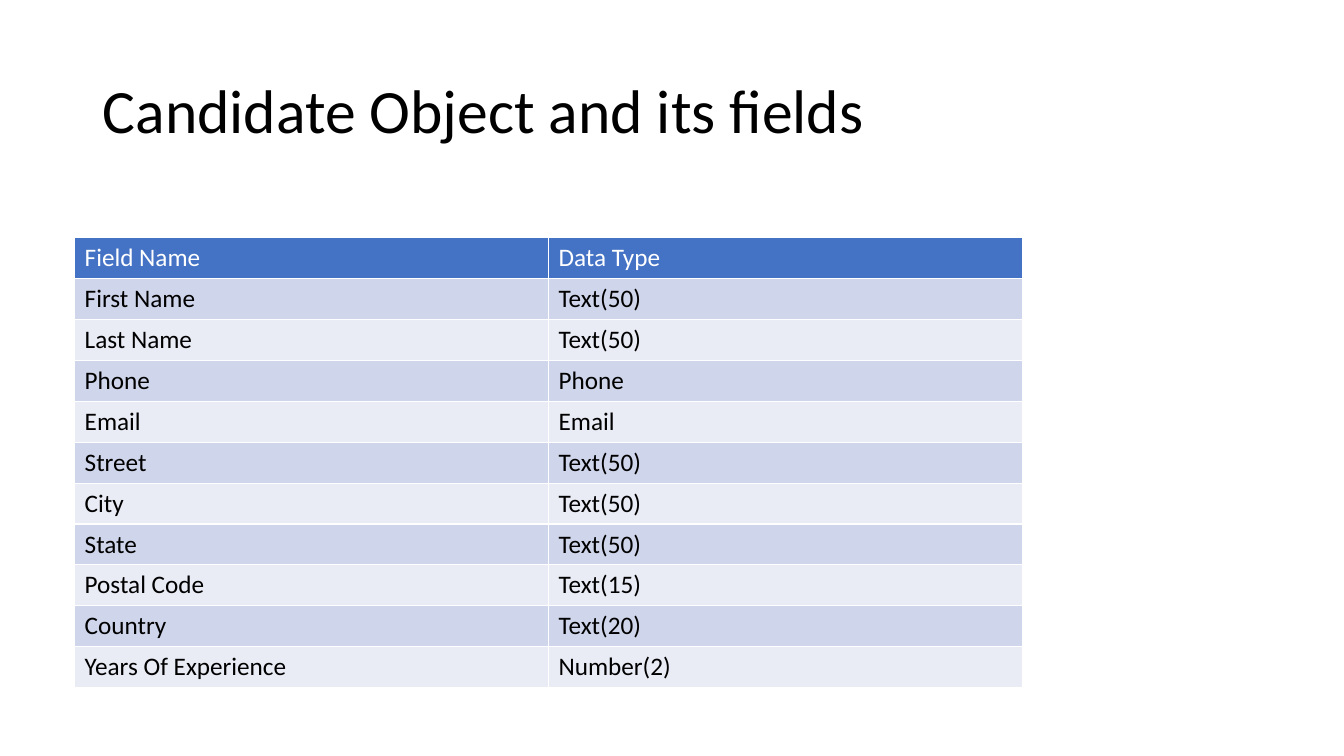
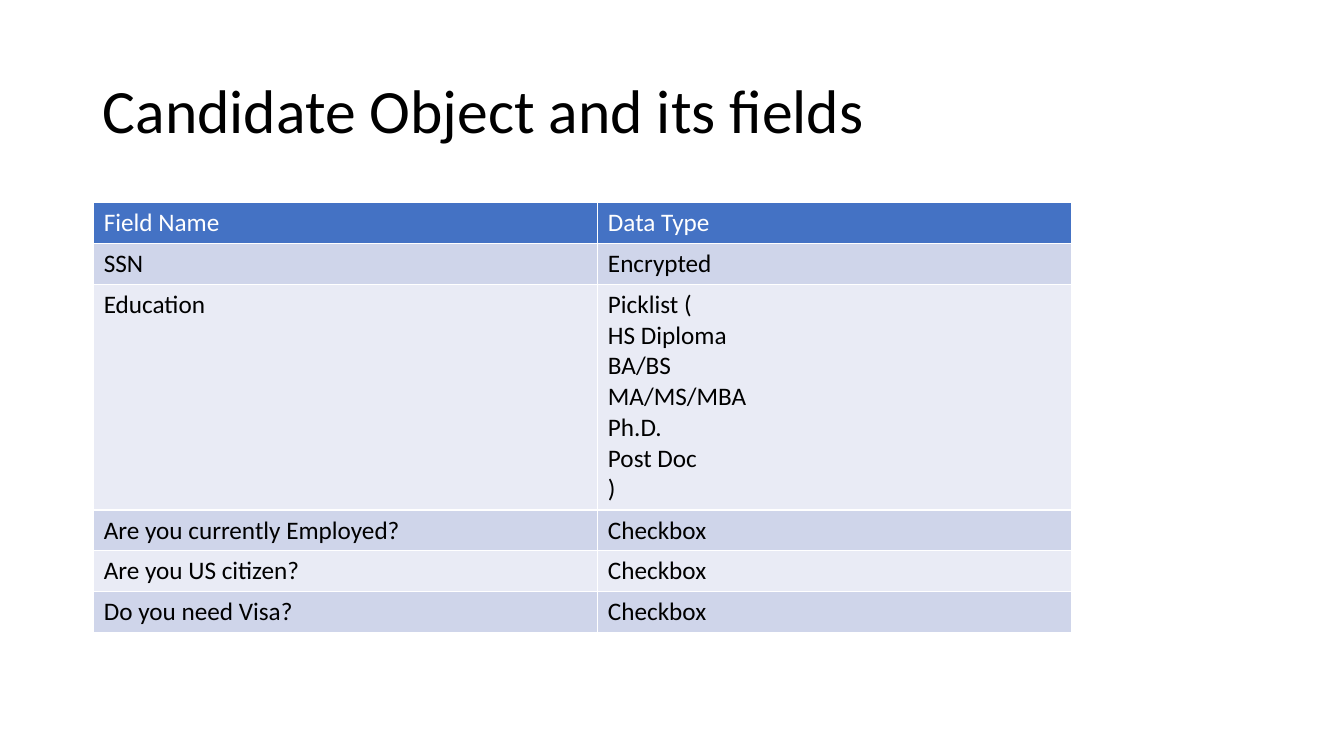
"""Build two slides that list the fields of the Candidate object."""
from lxml.etree import SubElement
from pptx import Presentation
from pptx.dml.color import RGBColor
from pptx.enum.text import MSO_ANCHOR, PP_ALIGN
from pptx.oxml.ns import qn
from pptx.util import Inches, Pt

COLORS = {"ink": "000000", "paper": "FFFFFF", "header": "4472C4",
          "odd": "CFD5EA", "even": "E9EBF5"}
FONT = "Calibri"
TITLE = "Candidate Object and its fields"
TITLE_BOX = {"left": 0.92, "top": 0.4, "width": 11.5, "height": 1.45}
TITLE_SIZE, CELL_SIZE = 44, 18
LINE_HEIGHT, CELL_PADDING = Pt(22), Inches(0.1)
HEADINGS = ("Field Name", "Data Type")
EDUCATION = ("Picklist (", "HS Diploma", "BA/BS", "MA/MS/MBA", "Ph.D.", "Post Doc", ")")

SLIDES = [
    {"corner": (0.74, 2.36), "columns": (4.7, 4.7), "fields": [
        ("First Name", "Text(50)"),
        ("Last Name", "Text(50)"),
        ("Phone", "Phone"),
        ("Email", "Email"),
        ("Street", "Text(50)"),
        ("City", "Text(50)"),
        ("State", "Text(50)"),
        ("Postal Code", "Text(15)"),
        ("Country", "Text(20)"),
        ("Years Of Experience", "Number(2)"),
    ]},
    {"corner": (0.93, 2.01), "columns": (5, 4.7), "fields": [
        ("SSN", "Encrypted"),
        ("Education", "\n".join(EDUCATION)),
        ("Are you currently Employed?", "Checkbox"),
        ("Are you US citizen?", "Checkbox"),
        ("Do you need Visa?", "Checkbox"),
    ]},
]


def style_text(frame, size, color, **para_format):
    """Give every paragraph of a text frame the same format."""
    for para in frame.paragraphs:
        for name, value in para_format.items():
            setattr(para, name, value)
        for span in para.runs:
            for name, value in {"name": FONT, "size": Pt(size), "bold": False}.items():
                setattr(span.font, name, value)
            span.font.color.rgb = RGBColor.from_string(COLORS[color])


def add_borders(cell):
    """Draw a thin line on all four sides of a cell."""
    properties = cell._tc.get_or_add_tcPr()
    for side in ("lnL", "lnR", "lnT", "lnB"):
        line = SubElement(properties, qn(f"a:{side}"), w=str(Pt(1)))
        fill = SubElement(line, qn("a:solidFill"))
        SubElement(fill, qn("a:srgbClr"), val=COLORS["paper"])


def add_title(page):
    """Place and format the shared title."""
    title = page.shapes.title
    for name, value in TITLE_BOX.items():
        setattr(title, name, Inches(value))
    title.text_frame.text = TITLE
    title.text_frame.vertical_anchor = MSO_ANCHOR.MIDDLE
    style_text(title.text_frame, TITLE_SIZE, "ink",
               alignment=PP_ALIGN.LEFT, line_spacing=0.9)


def add_field_table(page, corner, columns, fields):
    """Add a banded table whose rows are as high as their longest cell."""
    rows = [HEADINGS, *fields]
    heights = [CELL_PADDING + LINE_HEIGHT * max(len(text.split("\n")) for text in row)
               for row in rows]
    left, top = map(Inches, corner)
    table = page.shapes.add_table(len(rows), len(columns), left, top,
                                  Inches(sum(columns)), sum(heights)).table
    for column, width in zip(table.columns, columns):
        column.width = Inches(width)
    for index, (row, height) in enumerate(zip(rows, heights)):
        table.rows[index].height = height
        band = "header" if index == 0 else ("even", "odd")[index % 2]
        for cell, text in zip(table.rows[index].cells, row):
            add_borders(cell)
            cell.fill.solid()
            cell.fill.fore_color.rgb = RGBColor.from_string(COLORS[band])
            cell.text_frame.text = text
            style_text(cell.text_frame, CELL_SIZE, "ink" if index else "paper")


def main():
    """Build and save the deck."""
    deck = Presentation()
    deck.slide_width, deck.slide_height = Inches(13.33), Inches(7.5)
    for content in SLIDES:
        page = deck.slides.add_slide(deck.slide_layouts.get_by_name("Title Only"))
        add_title(page)
        add_field_table(page, **content)
    deck.save("out.pptx")


if __name__ == "__main__":
    main()
